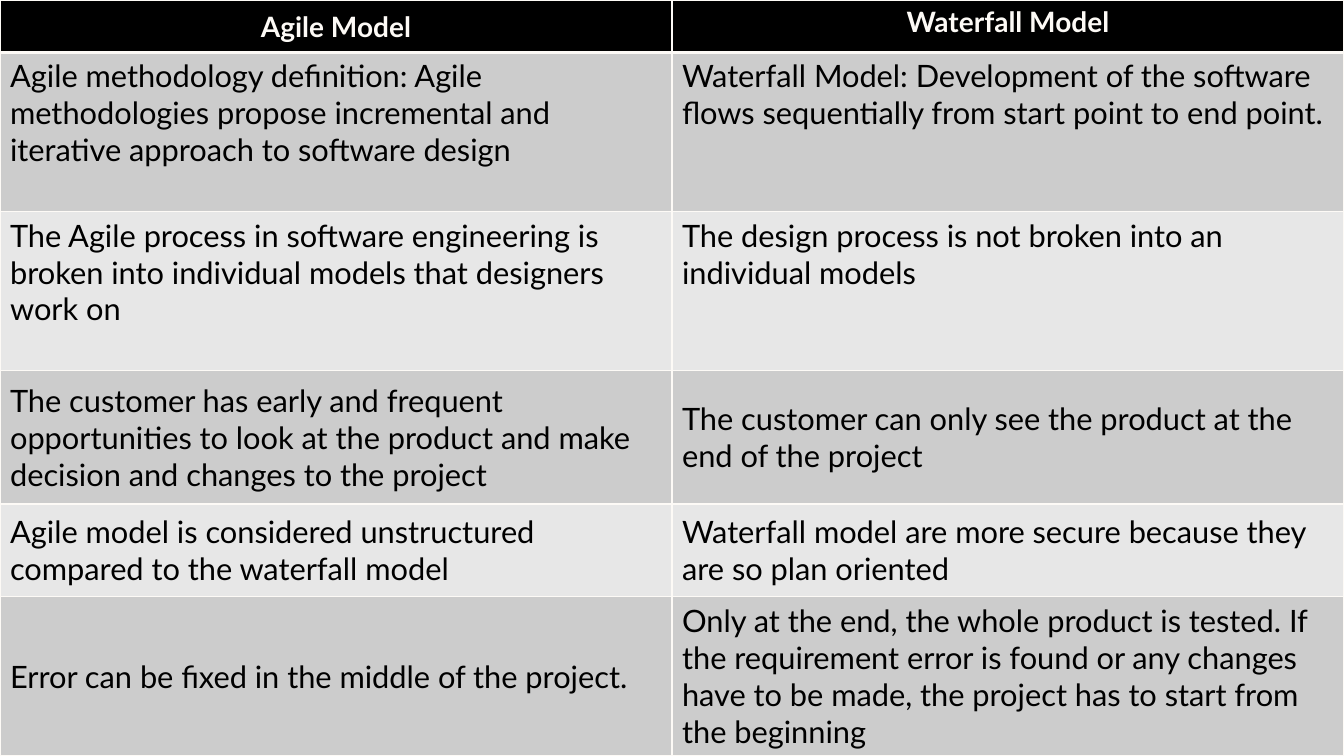
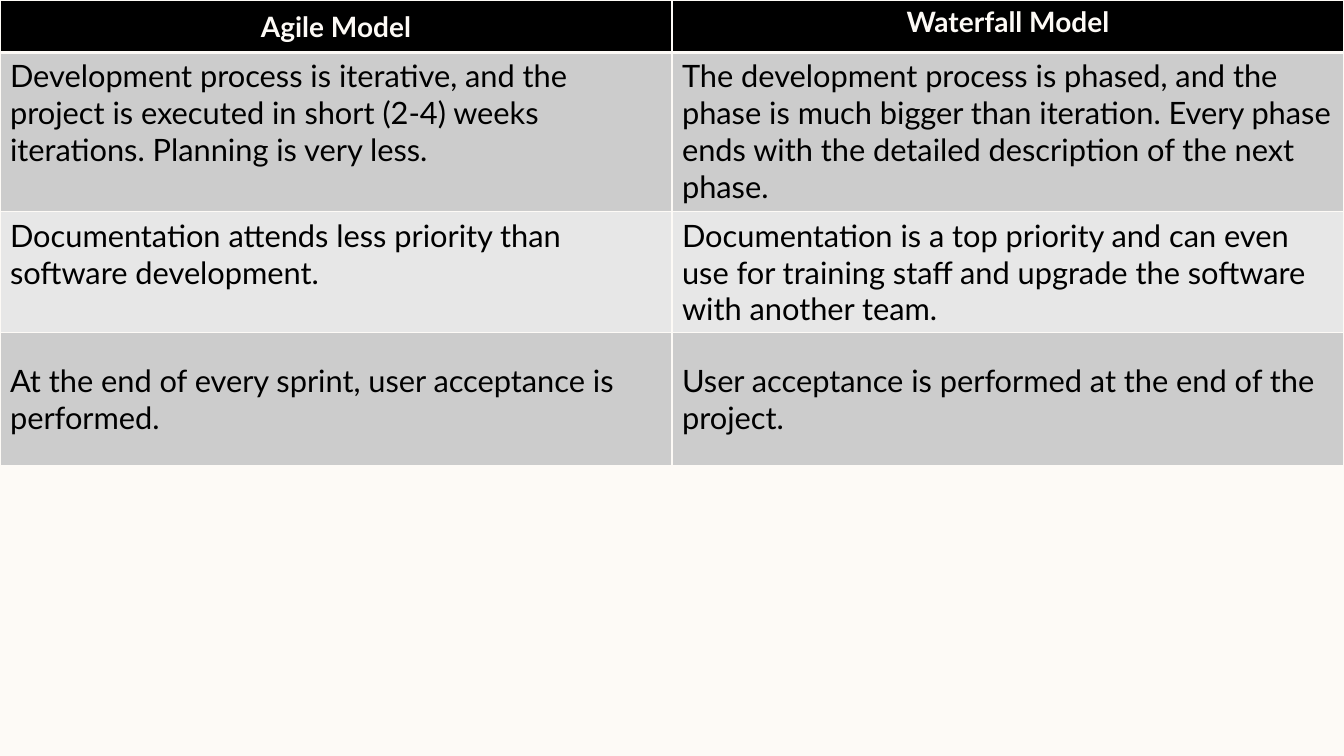
from lxml.etree import SubElement
from pptx import Presentation
from pptx.dml.color import RGBColor
from pptx.enum.text import MSO_ANCHOR, PP_ALIGN
from pptx.oxml.ns import qn
from pptx.util import Inches, Pt

COLORS = {"paper": "FDFAF6", "header": "000000", "text": "000000",
          "odd": "CCCCCC", "even": "E7E7E7"}
FONT = "Lato"
WIDTH, HEIGHT = 13.33, 7.5
HEADER = ("Agile Model", "Waterfall Model")
HEADER_HEIGHT = 0.52
TOP_ROWS = 2  # body rows whose text starts at the top of the cell

# Each body row: height in inches, agile text, waterfall text
SLIDES = [
    [
        (1.58, "Agile methodology definition: Agile methodologies propose "
               "incremental and iterative approach to software design",
         "Waterfall Model: Development of the software flows sequentially "
         "from start point to end point."),
        (1.58, "The\u00a0Agile process\u00a0in software engineering is broken "
               "into individual models that designers work on",
         "The design process is not broken into an individual models"),
        (1.32, "The customer has early and frequent opportunities to look at "
               "the product and make decision and changes to the project",
         "The customer can only see the product at the end of the project"),
        (0.92, "Agile model is considered unstructured compared to the "
               "waterfall model",
         "Waterfall model are more secure because they are so plan oriented"),
        (1.58, "Error can be fixed in the middle of the project.",
         "Only at the end, the whole product is tested. If the requirement "
         "error is found or any changes have to be made, the project has to "
         "start from the beginning"),
    ],
    [
        (1.58, "Development process is iterative, and the project is executed "
               "in short (2-4) weeks iterations. Planning is very less.",
         "The development process is phased, and the phase is much bigger "
         "than iteration. Every phase ends with the detailed description of "
         "the next phase."),
        (1.2, "Documentation attends less priority than software development.",
         "Documentation is a top priority and can even use for training staff "
         "and upgrade the software with another team."),
        (1.32, "At the end of every sprint, user acceptance is performed.",
         "User acceptance is performed at the end of the project."),
    ],
]


def rgb(name):
    """Return the named palette colour."""
    return RGBColor.from_string(COLORS[name])


def set_borders(cell, top, bottom):
    """Draw paper-coloured borders; side borders are 1 pt wide."""
    tcPr = cell._tc.get_or_add_tcPr()
    widths = {"a:lnL": 1, "a:lnR": 1, "a:lnT": top, "a:lnB": bottom}
    for i, (tag, width) in enumerate(widths.items()):
        ln = SubElement(tcPr, qn(tag), w=str(Pt(width)))
        fill = SubElement(ln, qn("a:solidFill"))
        SubElement(fill, qn("a:srgbClr"), val=COLORS["paper"])
        tcPr.insert(i, ln)


def style_cell(cell, row, col):
    """Format a cell by its place in the table."""
    is_header = row == 0
    fill = "header" if is_header else "odd" if row % 2 else "even"
    cell.fill.solid()
    cell.fill.fore_color.rgb = rgb(fill)
    set_borders(cell, 3 if row == 1 else 1, 3 if is_header else 1)
    at_top = col == 1 if is_header else row <= TOP_ROWS
    cell.vertical_anchor = MSO_ANCHOR.TOP if at_top else MSO_ANCHOR.MIDDLE
    p = cell.text_frame.paragraphs[0]
    p.alignment = PP_ALIGN.CENTER if is_header else PP_ALIGN.LEFT
    font = p.runs[0].font
    font.name = FONT
    font.size = Pt(20 if is_header else 22)
    font.bold = is_header
    font.color.rgb = rgb("paper" if is_header else "text")


def add_comparison(prs, body):
    """Add a slide with a full-width, two-column comparison table."""
    s = prs.slides.add_slide(prs.slide_layouts[6])
    rows = [(HEADER_HEIGHT, *HEADER), *body]
    height = sum(row[0] for row in rows)
    table = s.shapes.add_table(len(rows), len(HEADER), 0, 0,
                               prs.slide_width, Inches(height)).table
    table.first_row = table.horz_banding = False
    for r, (row_height, *texts) in enumerate(rows):
        table.rows[r].height = Inches(row_height)
        for c, text in enumerate(texts):
            cell = table.cell(r, c)
            cell.text_frame.text = text
            style_cell(cell, r, c)


prs = Presentation()
prs.slide_width, prs.slide_height = Inches(WIDTH), Inches(HEIGHT)
background = prs.slide_master.background.fill
background.solid()
background.fore_color.rgb = rgb("paper")
for body in SLIDES:
    add_comparison(prs, body)
prs.save("out.pptx")
